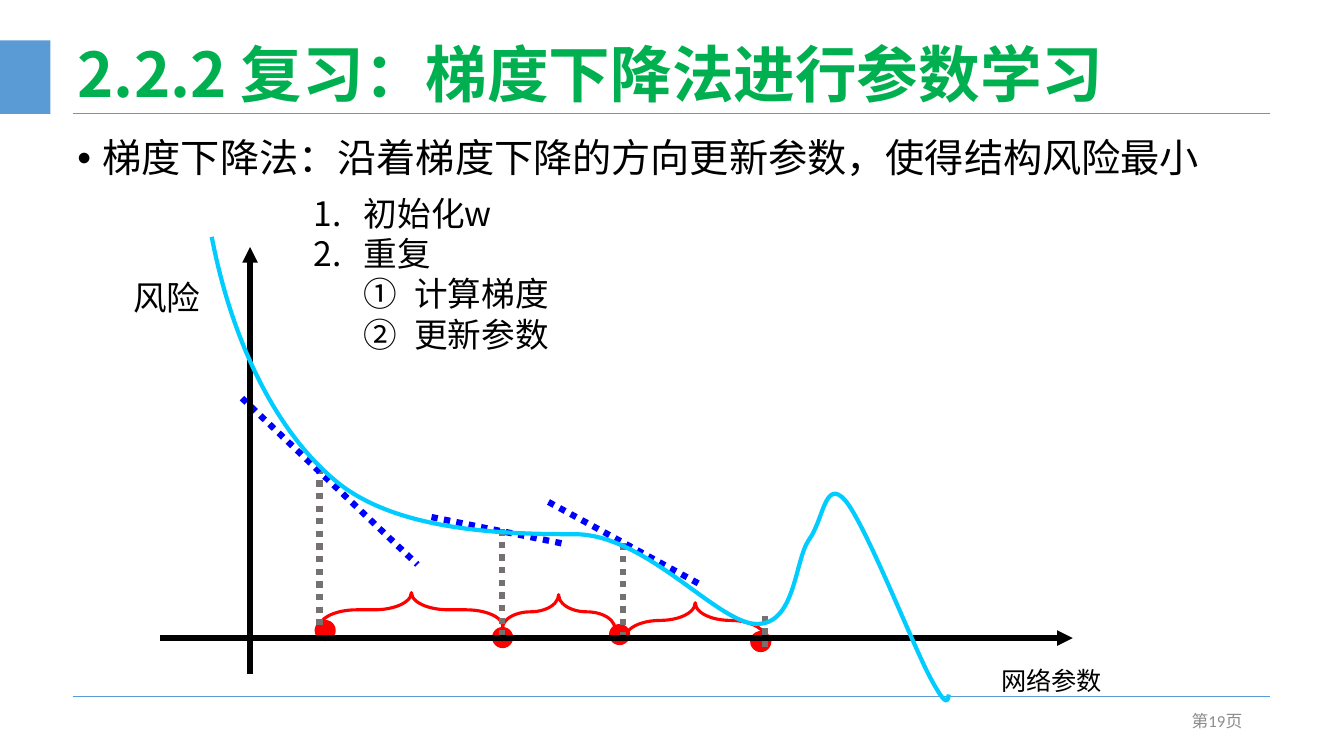
from lxml.etree import SubElement
from pptx import Presentation
from pptx.dml.color import RGBColor
from pptx.enum.dml import MSO_LINE
from pptx.enum.shapes import MSO_CONNECTOR, MSO_SHAPE
from pptx.enum.text import MSO_ANCHOR, MSO_AUTO_SIZE, PP_ALIGN
from pptx.oxml.ns import qn
from pptx.util import Inches, Pt

BLUE = RGBColor(0x5B, 0x9B, 0xD5)
GREEN = RGBColor(0x00, 0xB0, 0x50)
BLACK = RGBColor(0x00, 0x00, 0x00)
PAGE_GREY = RGBColor(0x8C, 0x8C, 0x8C)
DROP_GREY = RGBColor(0x76, 0x71, 0x71)
RED = RGBColor(0xFF, 0x00, 0x00)
TANGENT_BLUE = RGBColor(0x00, 0x00, 0xFF)
CURVE_BLUE = RGBColor(0x00, 0xCC, 0xFF)
CJK_FONT = "Noto Sans CJK SC"
CELL = Inches(0.1)


def cells(*counts):
    return [round(count * CELL) for count in counts]


def write_text(frame, text, size=24, color=BLACK, font=CJK_FONT, bold=False,
               align=PP_ALIGN.LEFT, anchor=MSO_ANCHOR.TOP, wrap=True,
               spacing=None, bullet=None, numbering=None, level=0, hanging=0):
    frame.word_wrap = wrap
    frame.auto_size = MSO_AUTO_SIZE.NONE
    frame.vertical_anchor = anchor
    para = frame.add_paragraph() if frame.text else frame.paragraphs[0]
    para.alignment = align
    para.level = level
    if bullet or numbering:
        properties = para._p.get_or_add_pPr()
        properties.set("marL", str(Inches(hanging * (level + 1))))
        properties.set("indent", str(-Inches(hanging)))
        if bullet:
            SubElement(properties, qn("a:buFont"), typeface="Arial")
            SubElement(properties, qn("a:buChar"), char=bullet)
        else:
            SubElement(properties, qn("a:buFont"), typeface="+mj-lt")
            SubElement(properties, qn("a:buAutoNum"), type=numbering)
    if spacing:
        para.line_spacing = spacing
    span = para.add_run()
    span.text = text
    span.font.size = Pt(size)
    span.font.bold = bold
    span.font.color.rgb = color
    span.font.name = font
    SubElement(span._r.get_or_add_rPr(), qn("a:ea"), typeface=CJK_FONT)


deck = Presentation()
deck.slide_width = Inches(13.33)
deck.slide_height = Inches(7.5)
page = deck.slides.add_slide(deck.slide_layouts[5])
shapes = page.shapes

title = shapes.title
title.left, title.top, title.width, title.height = cells(6.7, 0.4, 123.9, 14.5)
write_text(title.text_frame, "2.2.2 复习：梯度下降法进行参数学习", size=44,
           color=GREEN, bold=True, anchor=MSO_ANCHOR.MIDDLE, spacing=0.9)

summary = shapes.add_textbox(*cells(6.7, 13.3, 120, 54))
write_text(summary.text_frame, "梯度下降法：沿着梯度下降的方向更新参数，使得结构风险最小",
           size=28, spacing=0.9, bullet="•", hanging=0.25)

steps = shapes.add_textbox(*cells(30.1, 18.6, 34.8, 17.2))
for text, level in [("初始化w", 0), ("重复", 0), ("计算梯度", 1), ("更新参数", 1)]:
    write_text(steps.text_frame, text, level=level, hanging=0.5,
               numbering=["arabicPeriod", "circleNumDbPlain"][level])

labels = [
    ("第19页", (94.2, 69.5, 30, 4), dict(size=12, color=PAGE_GREY, font="Calibri",
                                       align=PP_ALIGN.RIGHT, anchor=MSO_ANCHOR.MIDDLE)),
    ("风险", (8.9, 27, 15.3, 5), dict(align=PP_ALIGN.CENTER)),
    ("网络参数", (98.3, 65.5, 12.1, 4), dict(size=18, wrap=False)),
]
for text, place, style in labels:
    write_text(shapes.add_textbox(*cells(*place)).text_frame, text, **style)

filled = [(MSO_SHAPE.RECTANGLE, (0, 4, 5, 7.3), BLUE)]
for left, top in [(31.2, 61.5), (48.8, 62.2), (60.4, 61.9), (74.4, 62.6)]:
    filled.append((MSO_SHAPE.OVAL, (left, top, 2.1, 2.1), RED))
for kind, place, color in filled:
    shape = shapes.add_shape(kind, *cells(*place))
    shape.shadow.inherit = False
    shape.fill.solid()
    shape.fill.fore_color.rgb = color
    shape.line.fill.background()

for left, top, depth, span in [(39.1, 51.4, 3.4, 18.2), (53.7, 55.1, 3.4, 11.2),
                               (67.2, 54.6, 3.5, 13.9)]:
    brace = shapes.add_shape(MSO_SHAPE.LEFT_BRACE, *cells(left, top, depth, span))
    brace.rotation = 90
    brace.adjustments[0] = 1.08
    brace.adjustments[1] = 0.5
    brace.shadow.inherit = False
    brace.fill.background()
    brace.line.color.rgb = RED
    brace.line.width = Pt(2.25)

rules = [(7.2, row, 126, row) for row in (11.2, 69.1)]
drops = [(column, top, column, bottom) for column, top, bottom in
         [(31.7, 46.4, 62.5), (49.8, 52.5, 63.2), (61.8, 53.9, 63.8), (75.9, 61.1, 64.2)]]
tangents = [(24, 39.5, 41.4, 56), (42.8, 51.3, 56.2, 54), (54.4, 49.8, 69.3, 57.9)]
axes = [(24.8, 66.9, 24.8, 24.5), (15.9, 63.3, 106.4, 63.3)]
for group, color, width, dotted, arrow in [
    (rules, BLUE, 0.5, False, False),
    (drops, DROP_GREY, 4.5, True, False),
    (tangents, TANGENT_BLUE, 4.5, True, False),
    (axes, BLACK, 3.75, False, True),
]:
    for ends in group:
        line = shapes.add_connector(MSO_CONNECTOR.STRAIGHT, *cells(*ends))
        line.line.color.rgb = color
        line.line.width = Pt(width)
        if dotted:
            line.line.dash_style = MSO_LINE.ROUND_DOT
        if arrow:
            SubElement(line.line._get_or_add_ln(), qn("a:tailEnd"), type="triangle")
        SubElement(line._element.spPr, qn("a:effectLst"))

curve_points = [
    (23, 33.9), (27.4, 42.9), (33.4, 47.8),
    (39.4, 52.7), (49.9, 53), (57, 53),
    (64.1, 53), (71.1, 61.8), (75, 61.9),
    (78.9, 62), (78.8, 55.7), (80.2, 53.6),
    (81.7, 51.6), (81.8, 47.4), (83.8, 49.6),
    (85.8, 51.9), (90.5, 63.9), (92.2, 67.1),
    (93.9, 70.3), (94, 69.6), (94.1, 68.9),
]
builder = shapes.build_freeform(*cells(21, 23.5))
builder.add_line_segments([cells(*point) for point in curve_points], close=False)
curve = builder.convert_to_shape()
outline = curve._element.find(".//" + qn("a:path"))
segments = outline.findall(qn("a:lnTo"))
for start in range(0, len(segments), 3):
    bezier = SubElement(outline, qn("a:cubicBezTo"))
    for segment in segments[start:start + 3]:
        bezier.append(segment[0])
        outline.remove(segment)
curve.shadow.inherit = False
curve.fill.background()
curve.line.color.rgb = CURVE_BLUE
curve.line.width = Pt(3)

deck.save("out.pptx")
